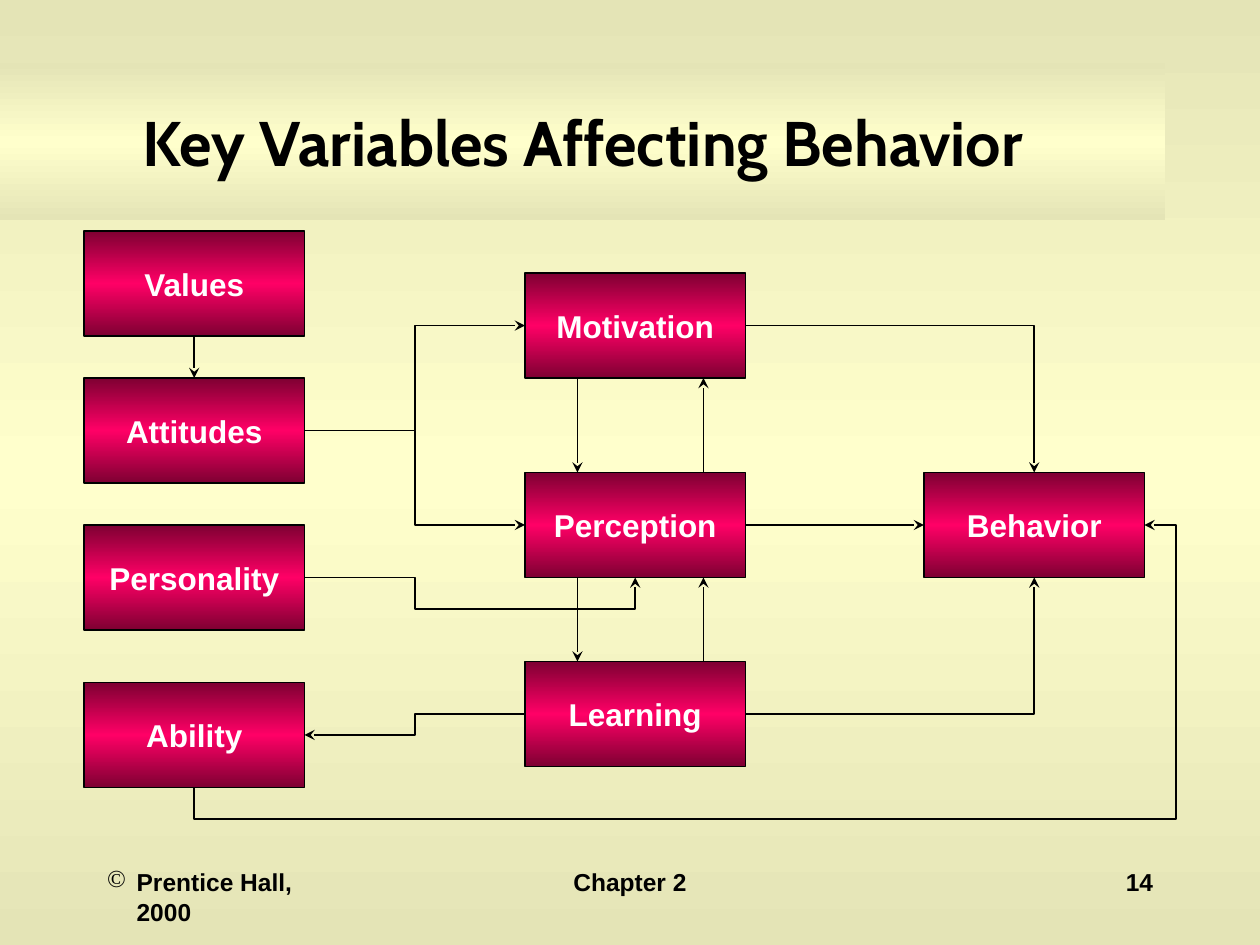
"""Build the slide with the flow chart of key variables affecting behavior."""
from copy import deepcopy

from pptx import Presentation, util as u
from pptx.dml.color import RGBColor
from pptx.enum import shapes, text
from pptx.oxml.ns import qn
from lxml import etree

COLORS = {"edge": "E4E4B6", "glow": "FFFFCC", "box_edge": "7E0032",
          "box_glow": "FF0066", "ink": "000000", "white": "FFFFFF"}
TITLE = "Key Variables Affecting Behavior"
BOX_W, BOX_H = 126, 60
BOXES = {"Values": (48, 132), "Attitudes": (48, 216), "Personality": (48, 300),
         "Ability": (48, 390), "Motivation": (300, 156), "Perception": (300, 270),
         "Learning": (300, 378), "Behavior": (528, 270)}
FOOTERS = [("Prentice Hall, 2000", 54, 150, "LEFT"),
           ("Chapter 2", 246, 228, "CENTER"), ("14", 516, 150, "RIGHT")]
BULLET, BULLET_INDENT = "©", 17
DOWN_X, UP_X, BEND_X, ENTRY_X = 330, 402, 237, 363
DETOUR_Y, LOOP_X, LOOP_Y = 348, 672, 468


def rgb(name):
    return RGBColor.from_string(COLORS[name])


def shade(fill, element, edge, glow):
    fill.gradient()
    fill.gradient_angle = 270
    stops = element.xpath(".//a:gsLst")[0]
    stops.insert(1, deepcopy(stops[0]))
    for stop, color, pos in zip(fill.gradient_stops, (edge, glow, edge), (0, 0.5, 1)):
        stop.color.rgb = rgb(color)
        stop.position = pos


def write(sp, words, size, font, color, align):
    tf = sp.text_frame
    tf.text = words
    p = tf.paragraphs[0]
    p.alignment = getattr(text.PP_ALIGN, align)
    f = p.runs[0].font
    f.size, f.name, f.bold = u.Pt(size), font, True
    f.color.rgb = rgb(color)
    return p


def add_block(s, x, y, w, h, words, size, font, color, edge, glow):
    sp = s.shapes.add_shape(shapes.MSO_SHAPE.RECTANGLE, *map(u.Pt, (x, y, w, h)))
    sp.shadow.inherit = False
    shade(sp.fill, sp.element, edge, glow)
    sp.text_frame.vertical_anchor = text.MSO_ANCHOR.MIDDLE
    write(sp, words, size, font, color, "CENTER")
    return sp


def add_arrow(s, *points):
    pts = [(u.Pt(x), u.Pt(y)) for x, y in points]
    if len(pts) == 2:
        sp = s.shapes.add_connector(shapes.MSO_CONNECTOR.STRAIGHT, *pts[0], *pts[1])
    else:
        builder = s.shapes.build_freeform(*pts[0])
        builder.add_line_segments(pts[1:], close=False)
        sp = builder.convert_to_shape()
        sp.fill.background()
    sp.line.color.rgb = rgb("ink")
    sp.line.width = u.Pt(1)
    etree.SubElement(sp.line._get_or_add_ln(), qn("a:tailEnd"), type="stealth")
    etree.SubElement(sp.element.spPr, qn("a:effectLst"))


def left(name):
    x, y = BOXES[name]
    return x, y + BOX_H / 2


def right(name):
    x, y = left(name)
    return x + BOX_W, y


def top(name, x=None):
    bx, y = BOXES[name]
    return bx + BOX_W / 2 if x is None else x, y


def bottom(name, x=None):
    x, y = top(name, x)
    return x, y + BOX_H


def side_step(start, end):
    return start, (BEND_X, start[1]), (BEND_X, end[1]), end


def corner(start, end):
    return start, (end[0], start[1]), end


def main():
    prs = Presentation()
    prs.slide_width, prs.slide_height = u.Pt(720), u.Pt(540)
    s = prs.slides.add_slide(prs.slide_layouts[6])
    shade(s.background.fill, s.element, "edge", "glow")

    band = add_block(s, 0, 36, 666, 90, TITLE, 36, "Cabin", "ink", "edge", "glow")
    band.line.fill.background()
    for name, (x, y) in BOXES.items():
        sp = add_block(s, x, y, BOX_W, BOX_H, name, 18, "Arial", "white",
                       "box_edge", "box_glow")
        sp.text_frame.word_wrap = False
        sp.line.color.rgb = rgb("ink")
        sp.line.width = u.Pt(1)

    for upper, lower in (("Motivation", "Perception"), ("Perception", "Learning")):
        add_arrow(s, bottom(upper, DOWN_X), top(lower, DOWN_X))
        add_arrow(s, top(lower, UP_X), bottom(upper, UP_X))
    add_arrow(s, bottom("Values"), top("Attitudes"))
    add_arrow(s, right("Perception"), left("Behavior"))
    add_arrow(s, *side_step(right("Attitudes"), left("Motivation")))
    add_arrow(s, *side_step(right("Attitudes"), left("Perception")))
    add_arrow(s, *side_step(left("Learning"), right("Ability")))
    add_arrow(s, *corner(right("Motivation"), top("Behavior")))
    add_arrow(s, *corner(right("Learning"), bottom("Behavior")))
    add_arrow(s, *side_step(right("Personality"), (ENTRY_X, DETOUR_Y)),
              bottom("Perception", ENTRY_X))
    start, end = bottom("Ability"), right("Behavior")
    add_arrow(s, start, (start[0], LOOP_Y), (LOOP_X, LOOP_Y), (LOOP_X, end[1]), end)

    for words, x, w, align in FOOTERS:
        sp = s.shapes.add_textbox(*map(u.Pt, (x, 492, w, 36)))
        sp.text_frame.word_wrap = True
        p = write(sp, words, 14, "Arial", "ink", align)
        if align == "LEFT":
            pPr = p._p.get_or_add_pPr()
            pPr.set("marL", str(u.Pt(BULLET_INDENT)))
            pPr.set("indent", str(-u.Pt(BULLET_INDENT)))
            color = etree.SubElement(pPr, qn("a:buClr"))
            etree.SubElement(color, qn("a:srgbClr"), val=COLORS["ink"])
            etree.SubElement(pPr, qn("a:buChar"), char=BULLET)

    prs.save("out.pptx")


if __name__ == "__main__":
    main()
